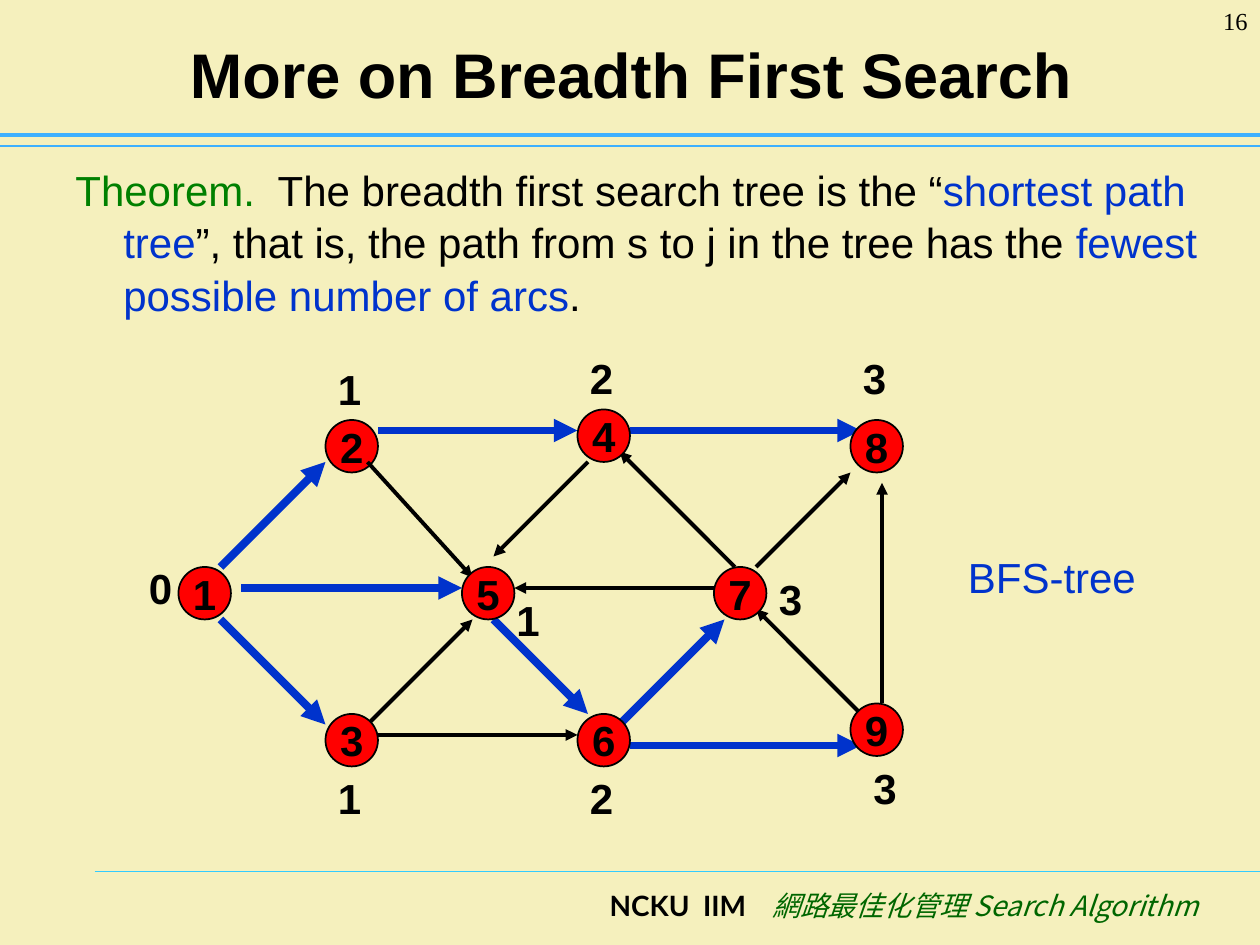
from typing import NamedTuple

from lxml.etree import SubElement
from pptx import Presentation
from pptx.dml.color import RGBColor
from pptx.enum.shapes import MSO_CONNECTOR, MSO_SHAPE
from pptx.enum.text import MSO_ANCHOR, MSO_AUTO_SIZE, PP_ALIGN
from pptx.oxml.ns import qn
from pptx.util import Inches, Pt

COLORS = {
    "paper": "F5F0BD",
    "ink": "000000",
    "node": "FF0000",
    "tree": "0033CC",
    "theorem": "008000",
    "topic": "006600",
    "header rule": "3DB0FF",
    "footer rule": "33CCFF",
}
WIDTH, HEIGHT = Inches(10), Inches(7.5)
COLUMNS, ROWS = 120, 90
NODE_SIZE = 5
LABEL_WIDTH, LABEL_HEIGHT = 4, 6


class Mark(NamedTuple):
    """A node or distance label, by its top left grid cell."""
    text: str
    column: float
    row: float


class Arc(NamedTuple):
    start: tuple[float, float]
    end: tuple[float, float]


class Span(NamedTuple):
    text: str
    color: str = "ink"
    size: float = 24
    font: str = "Arial"
    bold: bool = False
    italic: bool = False
    spacing: int = 0


class Rule(NamedTuple):
    left: float
    row: float
    color: str
    weight: float


NODES = [
    Mark("1", 17, 54), Mark("2", 31, 40), Mark("3", 31, 68),
    Mark("4", 55, 39), Mark("5", 44, 54), Mark("6", 55, 68),
    Mark("7", 68, 54), Mark("8", 81, 40), Mark("9", 81, 67),
]
DISTANCES = [
    Mark("0", 13, 53), Mark("1", 31, 34), Mark("1", 31, 73),
    Mark("2", 55, 33), Mark("1", 48, 56), Mark("2", 55, 73),
    Mark("3", 73, 54), Mark("3", 81, 33), Mark("3", 82, 72),
]
TREE_ARCS = [
    Arc((21, 54), (31, 44)), Arc((23, 56), (44, 56)),
    Arc((21, 59), (31, 69)), Arc((36, 41), (55, 41)),
    Arc((47, 59), (56, 68)), Arc((60, 41), (82, 41)),
    Arc((59, 69), (69, 59)), Arc((60, 71), (82, 71)),
]
OTHER_ARCS = [
    Arc((35, 44), (45, 55)), Arc((56, 44), (47, 53)),
    Arc((70, 54), (59, 43)), Arc((72, 54), (81, 45)),
    Arc((68, 56), (49, 56)), Arc((35, 69), (45, 59)),
    Arc((36, 70), (55, 70)), Arc((82, 68), (72, 58)),
    Arc((84, 67), (84, 46)),
]
RULES = [
    Rule(0, 12.84, "header rule", 2.5),
    Rule(0, 13.92, "header rule", 0.75),
    Rule(9, 83, "footer rule", 0.75),
]
THEOREM = [
    Span("Theorem. ", "theorem"),
    Span(" The breadth first search tree is the “"),
    Span("shortest path tree", "tree"),
    Span("”, that is, the path from s to j in the tree has the "),
    Span("fewest possible number of arcs", "tree"),
    Span("."),
]
FOOTER = [
    Span("NCKU  IIM", size=16, font="Lato", bold=True),
    Span(" ", size=16, font="Lato", bold=True, spacing=1100),
    Span("網路最佳化管理 Search Algorithm", "topic", 16, "Noto Sans CJK SC", italic=True),
]


def color(name: str) -> RGBColor:
    return RGBColor.from_string(COLORS[name])


def across(columns: float) -> int:
    return round(WIDTH * columns / COLUMNS)


def down(rows: float) -> int:
    return round(HEIGHT * rows / ROWS)


def write(shape, spans: list[Span], align=PP_ALIGN.LEFT):
    """Fill the first paragraph of a shape with formatted runs."""
    para = shape.text_frame.paragraphs[0]
    para.alignment = align
    for span in spans:
        run = para.add_run()
        run.text = span.text
        run.font.size = Pt(span.size)
        run.font.name = span.font
        run.font.bold = span.bold
        run.font.italic = span.italic
        run.font.color.rgb = color(span.color)
        properties = run.font._element
        SubElement(properties, qn("a:ea")).set("typeface", span.font)
        if span.spacing:
            properties.set("spc", str(span.spacing))
    return para


def add_text(slide, left: float, top: float, width: float, height: float,
             spans: list[Span], align=PP_ALIGN.LEFT, wrap: bool = True):
    box = slide.shapes.add_textbox(across(left), down(top), across(width), down(height))
    box.text_frame.word_wrap = wrap
    write(box, spans, align)
    return box


def add_line(slide, arc: Arc, color_name: str, weight: float, arrow: bool = True) -> None:
    (x1, y1), (x2, y2) = arc
    line = slide.shapes.add_connector(
        MSO_CONNECTOR.STRAIGHT, across(x1), down(y1), across(x2), down(y2))
    line.line.color.rgb = color(color_name)
    line.line.width = Pt(weight)
    if arrow:
        SubElement(line.line._get_or_add_ln(), qn("a:tailEnd")).set("type", "triangle")
    SubElement(line._element.spPr, qn("a:effectLst"))


def add_node(slide, node: Mark) -> None:
    circle = slide.shapes.add_shape(
        MSO_SHAPE.OVAL, across(node.column), down(node.row),
        across(NODE_SIZE), down(NODE_SIZE))
    circle.shadow.inherit = False
    circle.fill.solid()
    circle.fill.fore_color.rgb = color("node")
    circle.line.color.rgb = color("ink")
    circle.line.width = Pt(1)
    circle.text_frame.word_wrap = False
    circle.text_frame.vertical_anchor = MSO_ANCHOR.MIDDLE
    write(circle, [Span(node.text, bold=True)], PP_ALIGN.CENTER)


def add_distance(slide, label: Mark) -> None:
    box = add_text(slide, label.column, label.row, LABEL_WIDTH, LABEL_HEIGHT,
                   [Span(label.text, bold=True)])
    box.fill.solid()
    box.fill.fore_color.rgb = color("paper")


def add_title(slide) -> None:
    title = slide.shapes.title
    title.left, title.top = across(6.1), down(1.6)
    title.width, title.height = across(108), down(10.8)
    title.text_frame.auto_size = MSO_AUTO_SIZE.NONE
    title.text_frame.vertical_anchor = MSO_ANCHOR.MIDDLE
    write(title, [Span("More on Breadth First Search", size=36, bold=True)], PP_ALIGN.CENTER)


def add_theorem(slide) -> None:
    box = add_text(slide, 6, 14.8, 110.8, 16, THEOREM)
    para = box.text_frame.paragraphs[0]
    para.line_spacing = 1.05
    properties = para._p.get_or_add_pPr()
    properties.set("marL", str(Inches(0.38)))
    properties.set("indent", str(-Inches(0.38)))


def main() -> None:
    deck = Presentation()
    deck.slide_width, deck.slide_height = WIDTH, HEIGHT
    page = deck.slides.add_slide(deck.slide_layouts[5])
    page.background.fill.solid()
    page.background.fill.fore_color.rgb = color("paper")

    for rule in RULES:
        add_line(page, Arc((rule.left, rule.row), (COLUMNS, rule.row)),
                 rule.color, rule.weight, arrow=False)
    add_text(page, 22, 84, 93.3, 6, FOOTER, PP_ALIGN.RIGHT)
    add_title(page)
    add_theorem(page)

    for label in DISTANCES:
        add_distance(page, label)
    for node in NODES[:2]:
        add_node(page, node)
    for arc in OTHER_ARCS:
        add_line(page, arc, "ink", 2.25)
    for arc in TREE_ARCS:
        add_line(page, arc, "tree", 4.5)
    for node in NODES[2:]:
        add_node(page, node)

    add_text(page, 91, 51.9, 18.4, 6, [Span("BFS-tree", "tree")], wrap=False)
    add_text(page, 110, 0, 10, 6, [Span("16", size=14, font="Times New Roman")], PP_ALIGN.RIGHT)
    deck.save("out.pptx")


if __name__ == "__main__":
    main()
